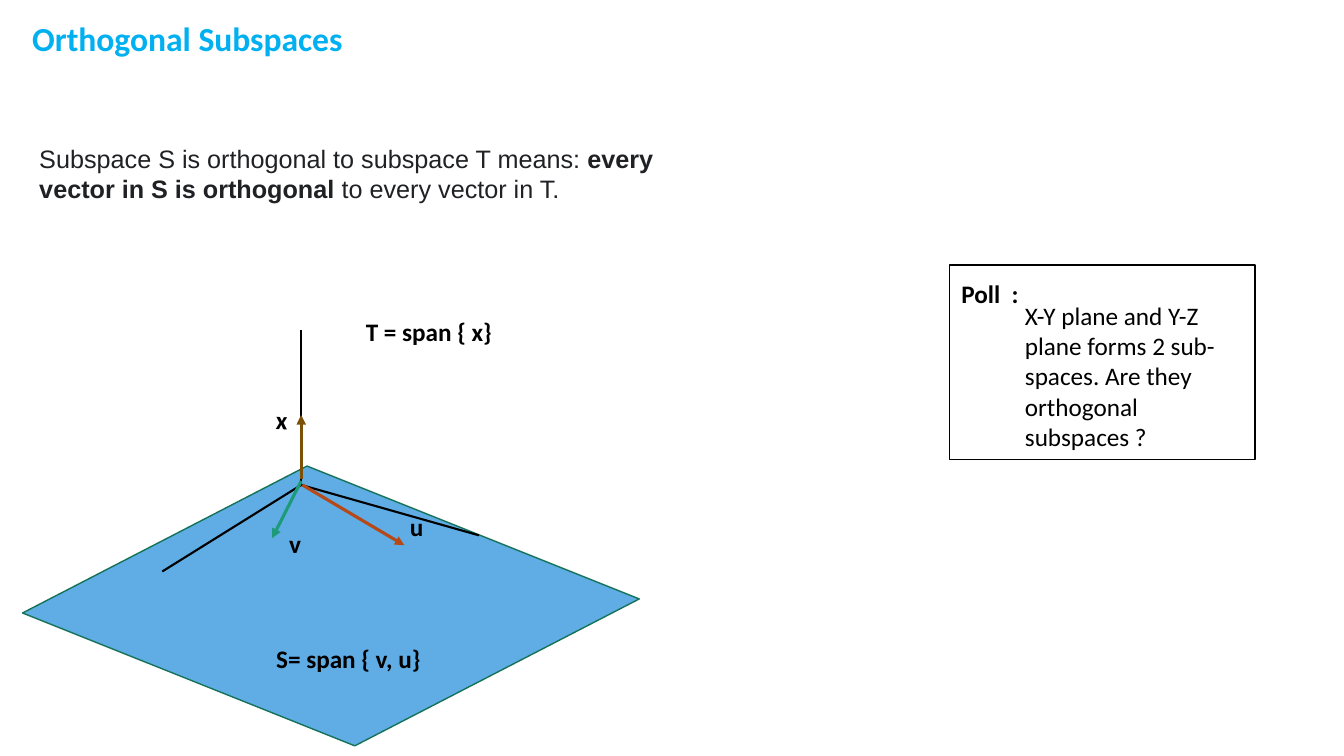
from dataclasses import dataclass

from lxml.etree import SubElement
from pptx import Presentation
from pptx.dml.color import RGBColor
from pptx.enum.shapes import MSO_CONNECTOR, MSO_SHAPE
from pptx.oxml.ns import qn
from pptx.util import Cm, Pt


@dataclass(frozen=True)
class Theme:
    title: str = "00B0F0"
    statement: str = "202124"
    ink: str = "000000"
    plane: str = "5FADE4"
    plane_edge: str = "157259"
    u: str = "B74919"
    v: str = "1D9A78"
    x: str = "7D5008"
    heading_font: str = "Calibri"
    statement_font: str = "Arial"
    title_size: int = 24
    text_size: int = 18
    outline: float = 1
    axis: float = 1.5
    vector: float = 2.25


THEME = Theme()

TITLE = ("Orthogonal Subspaces", (0.56, 0.33, 19.05, 1.27))
STATEMENT = (
    [
        ("Subspace S is orthogonal to subspace T means: ", False),
        ("every vector in S is orthogonal", True),
        (" to every vector in T.", False),
    ],
    (0.74, 3.48, 17.07, 1.8),
)
POLL_FRAME = (23.93, 6.68, 7.7, 4.9)
POLL_LABEL = ("Poll  :", (23.98, 6.88, 2.59, 1.4))
POLL_QUESTION = (
    "X-Y plane and Y-Z plane forms 2 sub-spaces. Are they orthogonal subspaces ?",
    (25.58, 7.44, 6.35, 4.11),
)

PLANE = (1.19, 12.22, 14.3, 6.1)
PLANE_SKEW = 0.866
PLANE_TILT = 21.8
ORIGIN = (7.59, 12.22)
AXIS_ENDS = [(7.59, 8.31), (4.09, 14.4), (12.07, 13.49)]
VECTORS = [
    ("u", THEME.u, (7.62, 12.22), (10.19, 13.74), (10.08, 12.75), 0),
    ("v", THEME.v, (7.59, 12.12), (6.86, 13.56), (7.04, 13.18), 0),
    ("x", THEME.x, (7.59, 12.07), (7.59, 10.46), (6.71, 10.06), 2.3),
]
VECTOR_LABEL_SIZE = (0.71, 1.02)
SPANS = [("S= span { v, u}", (6.71, 16.08)), ("T = span { x}", (8.97, 7.85))]
SPAN_SIZE = (4.5, 1.02)


def lengths(values):
    return [Cm(value) for value in values]


def rgb(color):
    return RGBColor.from_string(color)


def add_text(slide, runs, place, color=THEME.ink, font=THEME.heading_font,
             size=THEME.text_size, bold=True, turn=0):
    box = slide.shapes.add_textbox(*lengths(place))
    box.rotation = turn
    box.text_frame.word_wrap = True
    paragraph = box.text_frame.paragraphs[0]
    paragraph.font.name = font
    paragraph.font.size = Pt(size)
    paragraph.font.color.rgb = rgb(color)
    if isinstance(runs, str):
        paragraph.font.bold = bold
        paragraph.add_run().text = runs
        return
    for words, strong in runs:
        run = paragraph.add_run()
        run.text = words
        run.font.bold = strong


def add_outline(slide, kind, place, edge, fill=None):
    shape = slide.shapes.add_shape(kind, *lengths(place))
    shape.shadow.inherit = False
    shape.line.color.rgb = rgb(edge)
    shape.line.width = Pt(THEME.outline)
    if fill:
        shape.fill.solid()
        shape.fill.fore_color.rgb = rgb(fill)
    else:
        shape.fill.background()
    return shape


def add_line(slide, start, end, color, width, arrow=False):
    line = slide.shapes.add_connector(
        MSO_CONNECTOR.STRAIGHT, *lengths(start + end))
    line.line.color.rgb = rgb(color)
    line.line.width = Pt(width)
    if arrow:
        SubElement(line.line._get_or_add_ln(), qn("a:tailEnd"), type="triangle")
    SubElement(line._element.spPr, qn("a:effectLst"))


def main():
    deck = Presentation()
    deck.slide_width, deck.slide_height = Cm(33.87), Cm(19.05)
    slide = deck.slides.add_slide(deck.slide_layouts[6])

    plane = add_outline(slide, MSO_SHAPE.PARALLELOGRAM, PLANE,
                        THEME.plane_edge, THEME.plane)
    plane.adjustments[0] = PLANE_SKEW
    plane.rotation = PLANE_TILT

    add_text(slide, *TITLE, color=THEME.title, size=THEME.title_size)
    add_text(slide, *STATEMENT, color=THEME.statement, font=THEME.statement_font)

    add_outline(slide, MSO_SHAPE.RECTANGLE, POLL_FRAME, THEME.ink)
    add_text(slide, *POLL_LABEL)
    add_text(slide, *POLL_QUESTION, bold=False)

    for end in AXIS_ENDS:
        add_line(slide, ORIGIN, end, THEME.ink, THEME.axis)
    for name, color, start, end, corner, turn in VECTORS:
        add_line(slide, start, end, color, THEME.vector, arrow=True)
        add_text(slide, name, corner + VECTOR_LABEL_SIZE, turn=turn)
    for span, corner in SPANS:
        add_text(slide, span, corner + SPAN_SIZE)

    deck.save("out.pptx")


if __name__ == "__main__":
    main()
